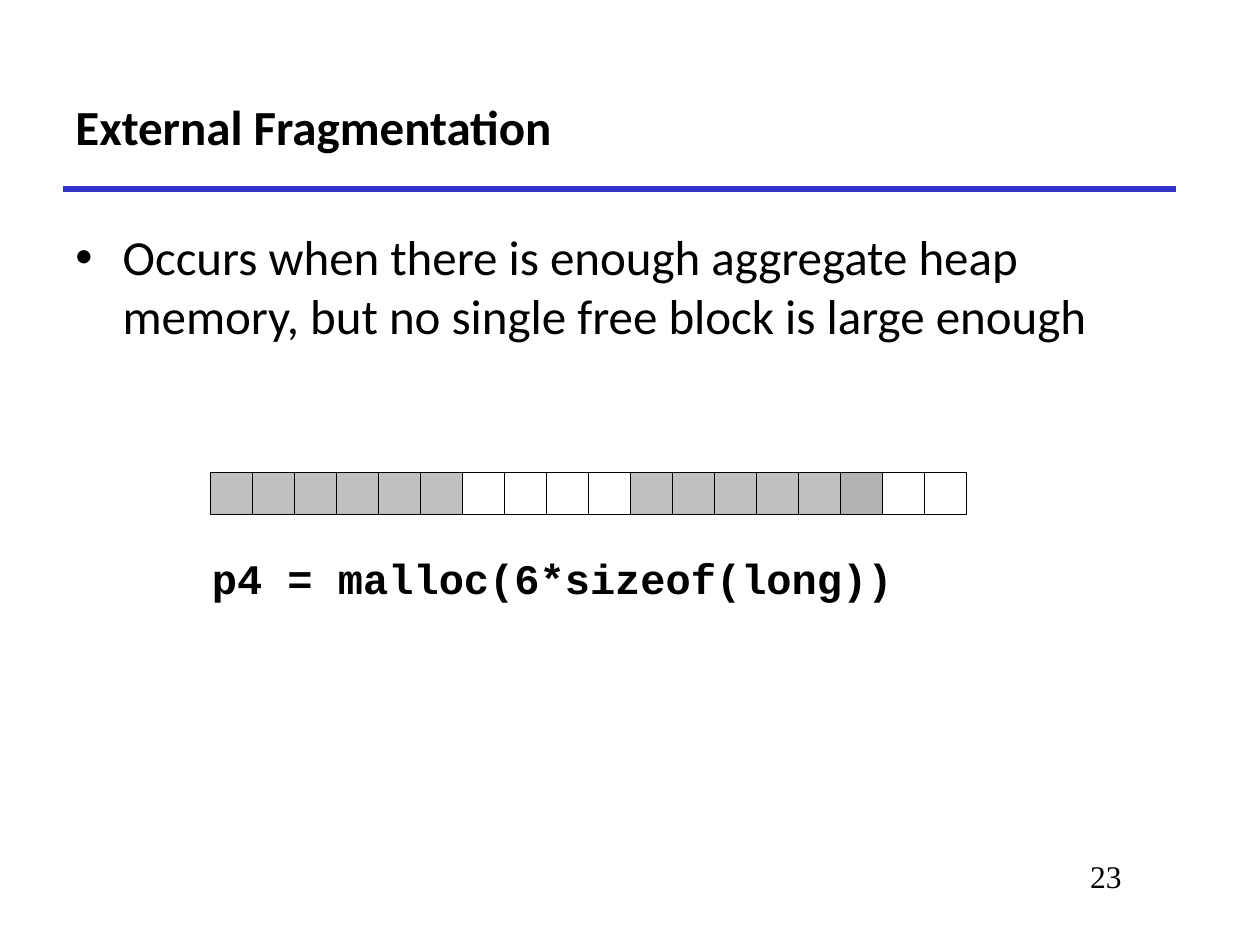
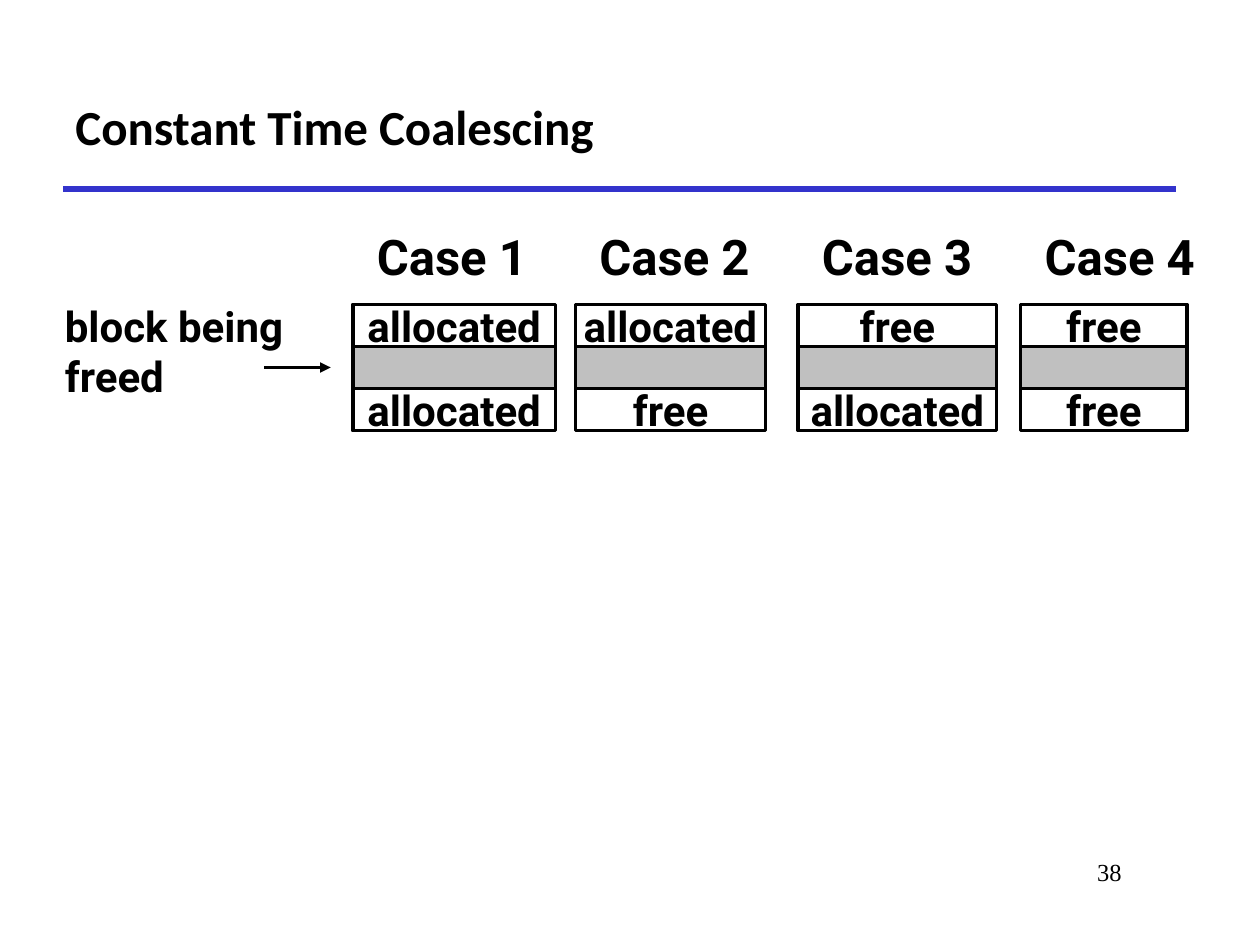
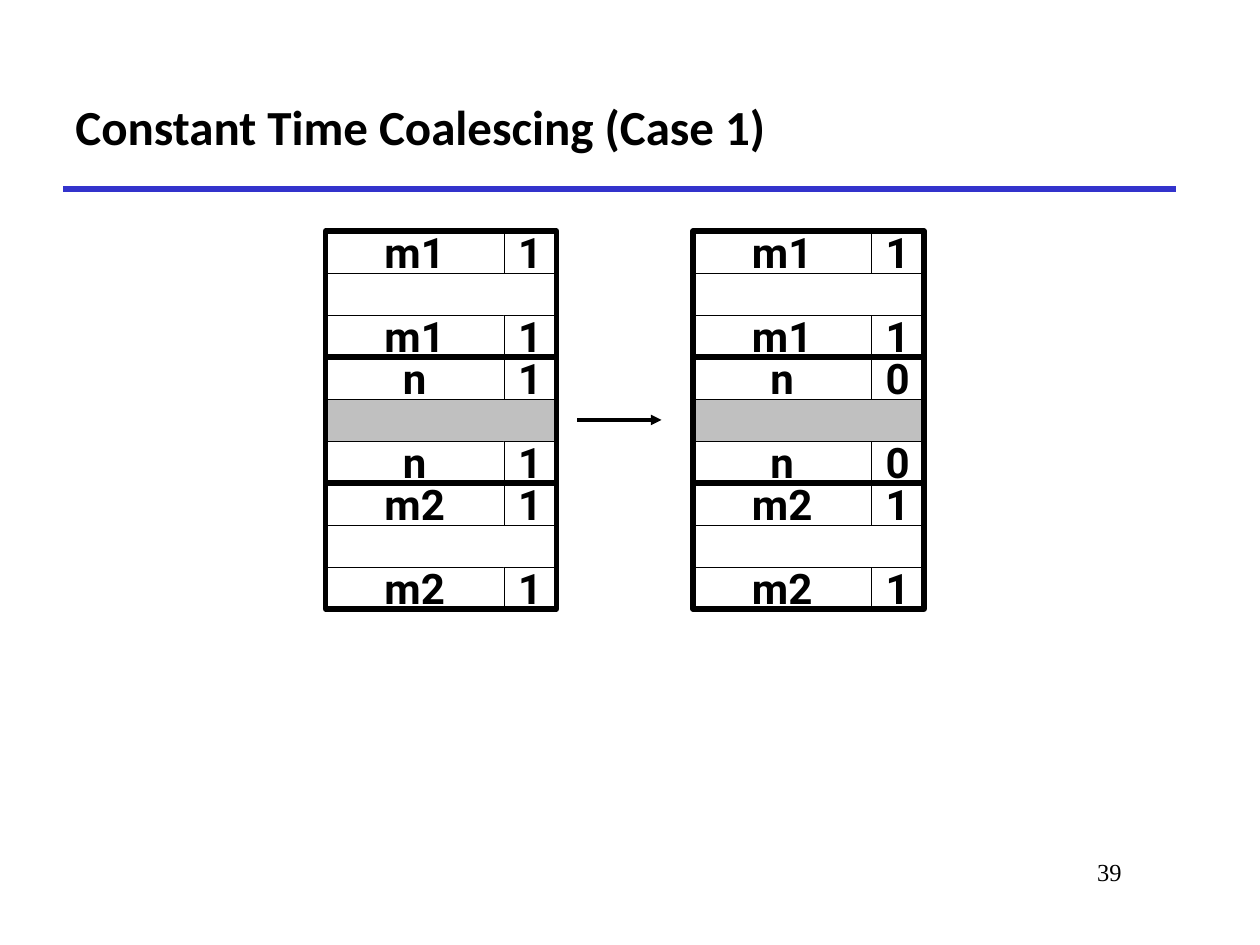
from lxml import etree
from pptx import Presentation
from pptx.dml.color import RGBColor as RGB
from pptx.enum.shapes import MSO_CONNECTOR as CONN, MSO_SHAPE as SHAPE
from pptx.enum.text import MSO_ANCHOR as ANCHOR, PP_ALIGN as ALIGN
from pptx.oxml.ns import qn
from pptx.util import Pt

COLORS = {"ink": "000000", "paper": "FFFFFF", "rule": "3333CC",
          "used": "C0C0C0", "last": "B3B3B3"}
TITLE = {"name": "Calibri", "size": Pt(28), "bold": True}
BODY = {"name": "Calibri", "size": Pt(28)}
CODE = {"name": "Courier New", "size": Pt(24), "bold": True}
LABEL = {"name": "Roboto", "size": Pt(24), "bold": True}
HEADING = {**LABEL, "size": Pt(28)}
NUMBER = {"name": "Times New Roman"}
UNIT = 24  # side of a memory cell and height of a block row


def color(name):
    return RGB.from_string(COLORS[name])


def write(tf, lines, fmt, align=ALIGN.LEFT, anchor=ANCHOR.TOP, wrap=True):
    tf.word_wrap = wrap
    tf.vertical_anchor = anchor
    for i, line in enumerate(lines):
        p = tf.paragraphs[0] if i == 0 else tf.add_paragraph()
        p.alignment = align
        r = p.add_run()
        r.text = line
        for key, value in fmt.items():
            setattr(r.font, key, value)
        r.font.color.rgb = color("ink")


def add_text(s, box, lines, fmt, **layout):
    tf = s.shapes.add_textbox(*map(Pt, box)).text_frame
    write(tf, lines, fmt, **layout)
    return tf


def add_rect(s, box, fill="paper", weight=0.25, text=""):
    sp = s.shapes.add_shape(SHAPE.RECTANGLE, *map(Pt, box))
    sp.shadow.inherit = False
    if fill:
        sp.fill.solid()
        sp.fill.fore_color.rgb = color(fill)
    else:
        sp.fill.background()
    sp.line.color.rgb = color("ink")
    sp.line.width = Pt(weight)
    if text:
        write(sp.text_frame, [text], LABEL, ALIGN.CENTER, ANCHOR.MIDDLE, False)


def add_line(s, x1, x2, y, name="ink", weight=2, arrow=True):
    """Draw a horizontal line, with an arrowhead at its right end if asked."""
    line = s.shapes.add_connector(CONN.STRAIGHT, *map(Pt, (x1, y, x2, y)))
    line.line.color.rgb = color(name)
    line.line.width = Pt(weight)
    if arrow:
        ln = line.line._get_or_add_ln()
        etree.SubElement(ln, qn("a:tailEnd"), type="triangle")
    etree.SubElement(line._element.spPr, qn("a:effectLst"))


def add_page(prs, title, number, number_size=14):
    s = prs.slides.add_slide(prs.slide_layouts[6])
    add_line(s, 36, 672, 108, "rule", 3, arrow=False)
    add_text(s, (36, 36, 636, 72), [title], TITLE, anchor=ANCHOR.MIDDLE)
    add_text(s, (546, 486, 102, 36), [str(number)],
             {**NUMBER, "size": Pt(number_size)}, align=ALIGN.RIGHT)
    return s


def add_bullet(s, box, text):
    tf = add_text(s, box, [text], BODY)
    pPr = tf.paragraphs[0]._p.get_or_add_pPr()
    pPr.set("marL", str(Pt(27)))
    pPr.set("indent", str(-Pt(27)))
    etree.SubElement(pPr, qn("a:buFont"), typeface="Arial")
    etree.SubElement(pPr, qn("a:buChar"), char="•")


def add_heap(s, x, y, runs):
    """Draw a row of cells from (count, fill) runs."""
    fills = [fill for count, fill in runs for _ in range(count)]
    for i, fill in enumerate(fills):
        add_rect(s, (x + i * UNIT, y, UNIT, UNIT), fill)


def add_case(s, x, y, width, heading, above, below):
    """Draw a freed block between its two neighbours, under a heading."""
    add_text(s, (x + 6.6, y - 48, 112, 41), [heading], HEADING)
    add_rect(s, (x, y + UNIT, width, UNIT), "used", 2)
    for row, state in ((0, above), (2, below)):
        add_rect(s, (x, y + row * UNIT, width, UNIT), weight=2, text=state)


def add_block(s, x, y, size, flag, fill, width=132, flag_width=30):
    """Draw a block with its header, payload and footer."""
    size_width = width - flag_width
    add_rect(s, (x, y + UNIT, width, UNIT), fill)
    for top in (y, y + 2 * UNIT):
        add_rect(s, (x, top, size_width, UNIT), text=size)
        add_rect(s, (x + size_width, top, flag_width, UNIT), text=flag)
    add_rect(s, (x, y, width, 3 * UNIT), None, 3)


def add_block_stack(s, x, y, blocks):
    for i, block in enumerate(blocks):
        add_block(s, x, y + i * 3 * UNIT, *block)


def fragmentation_slide(prs):
    s = add_page(prs, "External Fragmentation", 23, 18)
    add_bullet(s, (36, 126, 636, 348),
               "Occurs when there is enough aggregate heap memory, "
               "but no single free block is large enough")
    add_text(s, (114, 312, 407, 37), ["p4 = malloc(6*sizeof(long))"], CODE)
    add_heap(s, 120, 270, [(6, "used"), (4, "paper"), (5, "used"),
                           (1, "last"), (2, "paper")])


def cases_slide(prs):
    s = add_page(prs, "Constant Time Coalescing", 38)
    cases = [(116, "allocated", "allocated"), (108.8, "allocated", "free"),
             (113.6, "free", "allocated"), (95.2, "free", "free")]
    for i, (width, above, below) in enumerate(cases):
        add_case(s, 201.6 + i * 127.2, 174, width, f"Case {i + 1}", above, below)
    add_text(s, (30, 168, 158, 65), ["block being", "freed"], LABEL)
    add_line(s, 151, 189, 210)


def case_1_slide(prs):
    s = add_page(prs, "Constant Time Coalescing (Case 1)", 39)
    for x, flag in ((186, "1"), (396, "0")):
        add_block_stack(s, x, 132, [("m1", "1", "paper"), ("n", flag, "used"),
                                    ("m2", "1", "paper")])
    add_line(s, 330, 378, 240)


def main():
    prs = Presentation()
    prs.slide_width, prs.slide_height = Pt(720), Pt(540)
    for build in (fragmentation_slide, cases_slide, case_1_slide):
        build(prs)
    prs.save("out.pptx")


if __name__ == "__main__":
    main()
